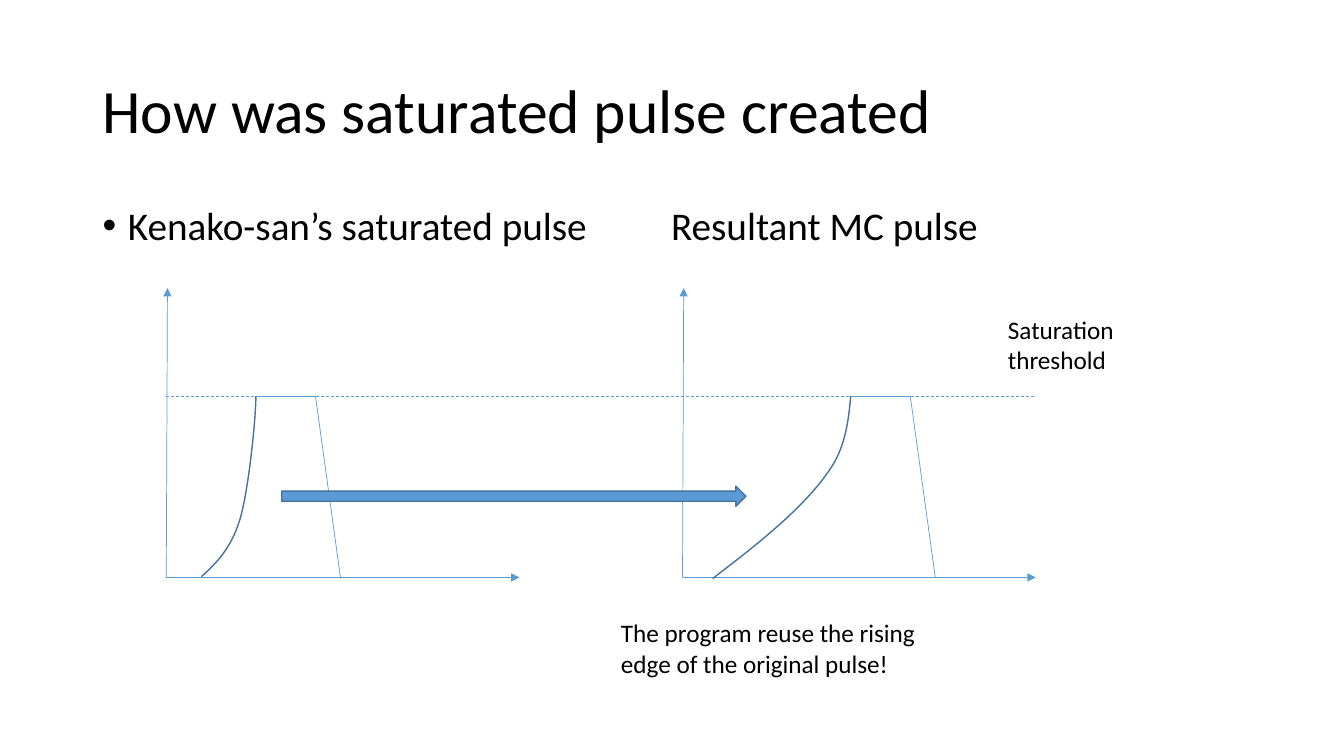
from lxml.etree import SubElement
from pptx import Presentation
from pptx.dml.color import RGBColor
from pptx.enum.dml import MSO_LINE
from pptx.enum.shapes import MSO_CONNECTOR, MSO_SHAPE
from pptx.enum.text import MSO_ANCHOR, MSO_AUTO_SIZE, PP_ALIGN
from pptx.oxml.ns import qn
from pptx.util import Cm, Pt

COLOURS = {"text": "000000", "accent": "5B9BD5", "edge": "43739E"}
FONT = "Calibri"
AXIS_Y = 14.55
AXIS_TOP = 7.26
AXIS_LENGTH = 8.9
THRESHOLD_Y = 9.98
PLOT_LEFTS = (4.19, 17.2)
FLAT_LENGTH = 1.5
FALL_LENGTH = 0.63
RISING_EDGES = (
    [(5.08, 14.53), (5.44, 14.2), (5.82, 13.84), (6.05, 13.08),
     (6.27, 12.34), (6.45, 10.54), (6.45, THRESHOLD_Y)],
    [(17.96, 14.58), (19.15, 13.67), (20.35, 12.73), (20.98, 11.73),
     (21.31, 11.2), (21.39, 10.57), (21.44, THRESHOLD_Y)],
)


def colour(name):
    return RGBColor.from_string(COLOURS[name])


def write_text(frame, text, size=18, anchor=MSO_ANCHOR.TOP, line_spacing=1.0, space_before=0):
    frame.word_wrap = True
    frame.auto_size = MSO_AUTO_SIZE.NONE
    frame.vertical_anchor = anchor
    para = frame.paragraphs[0]
    para.alignment = PP_ALIGN.LEFT
    para.line_spacing = line_spacing
    para.space_before = Pt(space_before)
    span = para.add_run()
    span.text = text
    span.font.name = FONT
    span.font.size = Pt(size)
    span.font.color.rgb = colour("text")
    return para


def curve_points(knots, steps=24):
    points = [knots[0]]
    for first in range(0, len(knots) - 1, 3):
        segment = knots[first:first + 4]
        for step in range(1, steps + 1):
            t = step / steps
            weights = ((1 - t) ** 3, 3 * t * (1 - t) ** 2, 3 * t * t * (1 - t), t ** 3)
            points.append(tuple(sum(w * knot[axis] for w, knot in zip(weights, segment))
                                for axis in (0, 1)))
    return [(Cm(x), Cm(y)) for x, y in points]


class PulseSlide:
    def __init__(self, deck):
        self.page = deck.slides.add_slide(deck.slide_layouts[1])
        self.shapes = self.page.shapes

    def place(self, box, left, top, width, height):
        box.left, box.top, box.width, box.height = map(Cm, (left, top, width, height))

    def title(self, text):
        box = self.shapes.title
        self.place(box, 2.33, 1.01, 29.21, 3.68)
        write_text(box.text_frame, text, size=44, anchor=MSO_ANCHOR.MIDDLE, line_spacing=0.9)

    def body(self, text, tab):
        box = self.page.placeholders[1]
        self.place(box, 2.33, 5.07, 29.21, 12.09)
        para = write_text(box.text_frame, text, size=28, line_spacing=0.9, space_before=10)
        properties = para._p.get_or_add_pPr()
        properties.set("marL", str(Cm(0.64)))
        properties.set("indent", str(Cm(-0.64)))
        tabs = SubElement(properties, qn("a:tabLst"))
        SubElement(tabs, qn("a:tab"), pos=str(Cm(tab)), algn="l")

    def label(self, text, left, top, width, height):
        box = self.shapes.add_textbox(Cm(left), Cm(top), Cm(width), Cm(height))
        write_text(box.text_frame, text)

    def line(self, start, end, width=0.5, arrow=False, dashed=False):
        connector = self.shapes.add_connector(
            MSO_CONNECTOR.STRAIGHT, *map(Cm, (*start, *end)))
        connector.line.color.rgb = colour("accent")
        connector.line.width = Pt(width)
        if dashed:
            connector.line.dash_style = MSO_LINE.DASH
        if arrow:
            SubElement(connector.line._get_or_add_ln(), qn("a:tailEnd"), type="triangle")
        SubElement(connector._element.spPr, qn("a:effectLst"))

    def curve(self, knots):
        points = curve_points(knots)
        builder = self.shapes.build_freeform(*points[0])
        builder.add_line_segments(points[1:], close=False)
        shape = builder.convert_to_shape()
        shape.shadow.inherit = False
        shape.fill.background()
        shape.line.color.rgb = colour("edge")
        shape.line.width = Pt(1)

    def block_arrow(self, left, top, width, height):
        shape = self.shapes.add_shape(
            MSO_SHAPE.RIGHT_ARROW, Cm(left), Cm(top), Cm(width), Cm(height))
        shape.shadow.inherit = False
        shape.fill.solid()
        shape.fill.fore_color.rgb = colour("accent")
        shape.line.color.rgb = colour("edge")
        shape.line.width = Pt(1)

    def axes(self, left):
        origin = (left, AXIS_Y)
        self.line(origin, (left + 0.03, AXIS_TOP), arrow=True)
        self.line(origin, (left + AXIS_LENGTH, AXIS_Y), width=1, arrow=True)

    def pulse(self, rising_edge):
        self.curve(rising_edge)
        peak = rising_edge[-1]
        shoulder = (peak[0] + FLAT_LENGTH, THRESHOLD_Y)
        self.line(peak, shoulder)
        self.line(shoulder, (shoulder[0] + FALL_LENGTH, AXIS_Y))


def main():
    deck = Presentation()
    deck.slide_width, deck.slide_height = Cm(33.87), Cm(19.05)
    slide = PulseSlide(deck)
    slide.title("How was saturated pulse created")
    slide.body("Kenako-san’s saturated pulse\tResultant MC pulse", tab=14.33)
    for left in PLOT_LEFTS:
        slide.axes(left)
    slide.line((PLOT_LEFTS[0], THRESHOLD_Y),
               (PLOT_LEFTS[1] + AXIS_LENGTH, THRESHOLD_Y), dashed=True)
    slide.label("Saturation threshold", 25.15, 7.8, 4.14, 1.8)
    for rising_edge in RISING_EDGES:
        slide.pulse(rising_edge)
    slide.block_arrow(7.1, 12.25, 11.7, 0.51)
    slide.label("The program reuse the rising edge of the original pulse!", 15.4, 15.44, 8.33, 1.8)
    deck.save("out.pptx")


if __name__ == "__main__":
    main()
